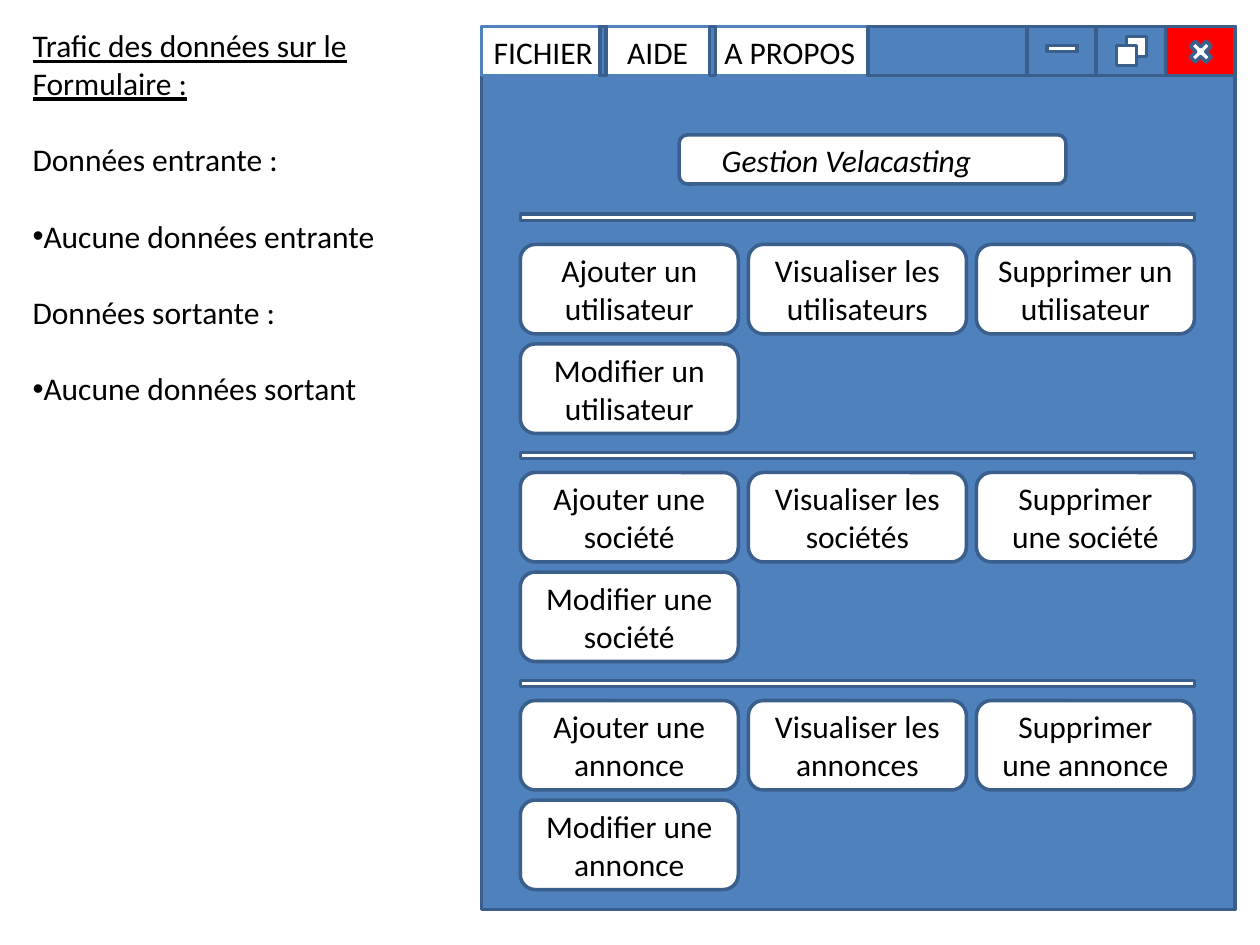
from typing import NamedTuple

from lxml.etree import SubElement
from pptx import Presentation
from pptx.dml.color import RGBColor
from pptx.enum.shapes import MSO_SHAPE
from pptx.enum.text import MSO_ANCHOR, PP_ALIGN
from pptx.oxml.ns import qn
from pptx.util import Inches, Pt

COLORS = {"window": "4F81BD", "border": "3A5F8C", "white": "FFFFFF",
          "close": "FF0000", "text": "000000"}
FONT = {"name": "Calibri", "size": Pt(18)}
RECT, ROUND = MSO_SHAPE.RECTANGLE, MSO_SHAPE.ROUNDED_RECTANGLE


class Box(NamedTuple):
    left: float
    top: float
    width: float
    height: float
    fill: str = "white"
    kind: MSO_SHAPE = RECT
    line: str = "border"


class Section(NamedTuple):
    separator_top: float
    buttons_top: float
    labels: tuple[str, ...]


class Note(NamedTuple):
    text: str
    gap: int = 0
    underline: bool = False
    bullet: bool = False


def color(name: str) -> RGBColor:
    return RGBColor.from_string(COLORS[name])


def write(paragraph, text: str, **extra) -> None:
    run = paragraph.add_run()
    run.text = text
    for name, value in {**FONT, **extra}.items():
        setattr(run.font, name, value)
    run.font.color.rgb = color("text")


def draw_box(slide, box: Box):
    shape = slide.shapes.add_shape(
        box.kind, *(Inches(length) for length in box[:4]))
    shape.shadow.inherit = False
    shape.fill.solid()
    shape.fill.fore_color.rgb = color(box.fill)
    shape.line.color.rgb = color(box.line)
    shape.line.width = Pt(2)
    return shape


def draw_button(slide, box: Box, label: str) -> None:
    frame = draw_box(slide, box).text_frame
    frame.word_wrap = True
    frame.vertical_anchor = MSO_ANCHOR.MIDDLE
    paragraph = frame.paragraphs[0]
    paragraph.alignment = PP_ALIGN.CENTER
    write(paragraph, label)


def add_text_frame(slide, left: float, top: float, width: float,
                   height: float, wrap: bool = True):
    text_box = slide.shapes.add_textbox(
        Inches(left), Inches(top), Inches(width), Inches(height))
    text_box.text_frame.word_wrap = wrap
    return text_box.text_frame


def add_tab_stops(paragraph, *positions: float) -> None:
    tabs = SubElement(paragraph._p.get_or_add_pPr(), qn("a:tabLst"))
    for position in positions:
        SubElement(tabs, qn("a:tab"), pos=str(Inches(position)), algn="l")


def add_bullet(paragraph) -> None:
    properties = paragraph._p.get_or_add_pPr()
    SubElement(properties, qn("a:buFont"), typeface="Arial")
    SubElement(properties, qn("a:buChar"), char="•")


BAR_TOP, BAR_HEIGHT = 0.21, 0.39
CONTROL_WIDTH = 0.55

# Window, title bar, control buttons and their icons
WINDOW = [
    Box(3.82, BAR_TOP, 5.98, 7.01, "window"),
    Box(3.82, BAR_TOP, 5.98, BAR_HEIGHT, line="window"),
    *(Box(8.15 + index * CONTROL_WIDTH, BAR_TOP, CONTROL_WIDTH, BAR_HEIGHT, fill)
      for index, fill in enumerate(("window", "window", "close"))),
    Box(8.31, 0.36, 0.24, 0.05),
    Box(9.41, 0.29, 0.24, 0.24, kind=MSO_SHAPE.MATH_MULTIPLY),
    Box(8.94, 0.29, 0.16, 0.16),
    Box(8.86, 0.36, 0.16, 0.16),
]

# Rest of the bar and the dividers between menu items
MENU_BLOCKS = [Box(left, BAR_TOP, width, BAR_HEIGHT, "window")
               for left, width in ((6.89, 1.26), (4.76, 0.05), (5.63, 0.05))]

SECTIONS = [
    Section(1.7, 1.94, ("Ajouter un utilisateur", "Visualiser les utilisateurs",
                        "Supprimer un utilisateur", "Modifier un utilisateur")),
    Section(3.59, 3.75, ("Ajouter une société", "Visualiser les sociétés",
                         "Supprimer une société", "Modifier une société")),
    Section(5.4, 5.56, ("Ajouter une annonce", "Visualiser les annonces",
                        "Supprimer une annonce", "Modifier une annonce")),
]
GRID_LEFT, GRID_WIDTH, COLUMNS = 4.13, 5.35, 3
BUTTON_WIDTH, BUTTON_HEIGHT, ROW_STEP = 1.73, 0.71, 0.79
COLUMN_STEP = (GRID_WIDTH - BUTTON_WIDTH) / (COLUMNS - 1)

NOTES = [
    Note("Trafic des données sur le", underline=True),
    Note("Formulaire :", underline=True),
    Note("Données entrante :", gap=22),
    Note("Aucune données entrante", gap=22, bullet=True),
    Note("Données sortante :", gap=22),
    Note("Aucune données sortant", gap=22, bullet=True),
]


def draw_section(slide, section: Section) -> None:
    draw_box(slide, Box(GRID_LEFT, section.separator_top, GRID_WIDTH, 0.05))
    for index, label in enumerate(section.labels):
        row, column = divmod(index, COLUMNS)
        draw_button(slide, Box(GRID_LEFT + column * COLUMN_STEP,
                               section.buttons_top + row * ROW_STEP,
                               BUTTON_WIDTH, BUTTON_HEIGHT, kind=ROUND), label)


def draw_notes(slide) -> None:
    frame = add_text_frame(slide, 0.16, 0.16, 2.95, 3.13, wrap=False)
    for index, note in enumerate(NOTES):
        paragraph = frame.add_paragraph() if index else frame.paragraphs[0]
        paragraph.space_before = Pt(note.gap)
        if note.bullet:
            add_bullet(paragraph)
        write(paragraph, note.text, underline=note.underline)


def main() -> None:
    presentation = Presentation()
    presentation.slide_width, presentation.slide_height = Inches(10), Inches(7.5)
    slide = presentation.slides.add_slide(presentation.slide_layouts[6])

    for box in WINDOW:
        draw_box(slide, box)

    # Menu
    menu = add_text_frame(slide, 3.82, BAR_TOP, 4.33, 0.71).paragraphs[0]
    add_tab_stops(menu, 1.06, 1.83)
    write(menu, "FICHIER\tAIDE\tA PROPOS")
    for box in MENU_BLOCKS:
        draw_box(slide, box)

    # Form title
    draw_box(slide, Box(5.39, 1.07, 3.07, 0.39, kind=ROUND))
    title = add_text_frame(slide, 5.63, 1.07, 2.6, 0.4).paragraphs[0]
    write(title, "Gestion Velacasting", italic=True)

    for section in SECTIONS:
        draw_section(slide, section)
    draw_notes(slide)
    presentation.save("out.pptx")


if __name__ == "__main__":
    main()
